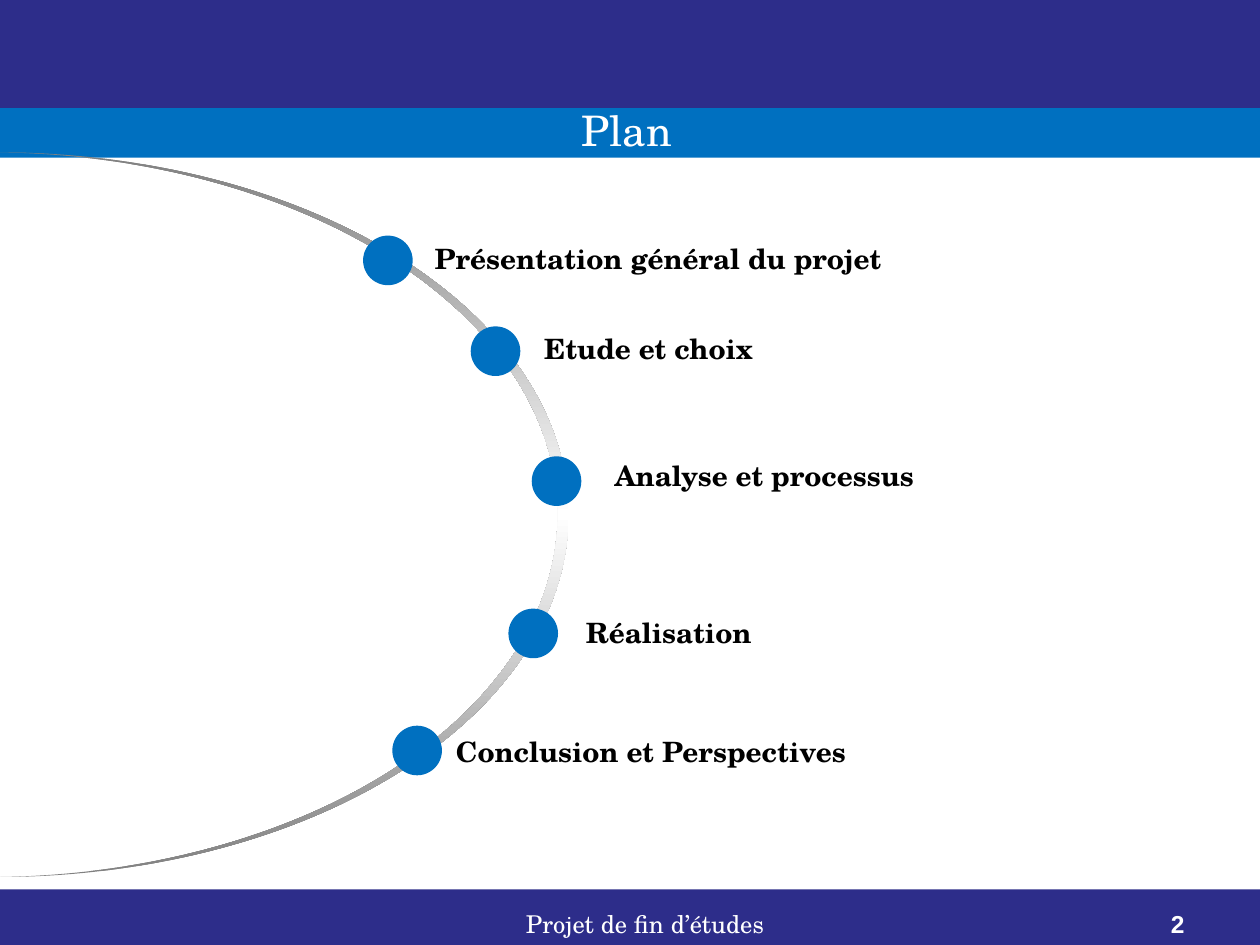
"""Build the plan slide: five topics along an arc."""
from copy import deepcopy
from dataclasses import dataclass

from pptx import Presentation
from pptx.dml.color import RGBColor
from pptx.enum.shapes import MSO_SHAPE
from pptx.enum.text import MSO_ANCHOR, PP_ALIGN
from pptx.shapes.autoshape import Shape
from pptx.slide import Slide
from pptx.util import Cm, Pt

RECT, OVAL, MOON = MSO_SHAPE.RECTANGLE, MSO_SHAPE.OVAL, MSO_SHAPE.MOON
LEFT, MID, RIGHT = PP_ALIGN.LEFT, PP_ALIGN.CENTER, PP_ALIGN.RIGHT
TOP = MSO_ANCHOR.TOP
NAVY = RGBColor(0x2D, 0x2D, 0x8A)
BLUE = RGBColor(0x00, 0x70, 0xC0)
GREY = RGBColor(0x80, 0x80, 0x80)
WHITE = RGBColor(0xFF, 0xFF, 0xFF)
BLACK = RGBColor(0x00, 0x00, 0x00)
SERIF, SANS = "TeX Gyre Schola", "Arial"
WIDE, HIGH = 25.4, 19.05
DOT = 1.0


@dataclass
class Box:
    left: float
    top: float
    width: float
    height: float

    def place(self) -> tuple[Cm, Cm, Cm, Cm]:
        return Cm(self.left), Cm(self.top), Cm(self.width), Cm(self.height)


@dataclass
class Style:
    size: int
    color: RGBColor = WHITE
    align: PP_ALIGN = MID
    bold: bool = False
    font: str = SERIF


@dataclass
class Topic:
    text: str
    box: Box
    dot_x: float
    dot_y: float


BANDS = [
    (Box(0, 0, WIDE, 2.31), NAVY),
    (Box(0, 17.93, WIDE, HIGH - 17.93), NAVY),
    (Box(0, 2.18, WIDE, 1.0), BLUE),
]
TOPICS = [
    Topic("Présentation général du projet", Box(8.51, 4.75, 15.29, 0.94), 7.32, 4.75),
    Topic("Etude et choix", Box(10.72, 6.55, 13.11, 0.94), 9.49, 6.58),
    Topic("Analyse et processus", Box(12.14, 9.12, 13.46, 0.94), 10.72, 9.2),
    Topic("Réalisation", Box(11.56, 12.29, 13.84, 0.94), 10.25, 12.27),
    Topic("Conclusion et Perspectives", Box(8.94, 14.68, 12.19, 0.94), 7.91, 14.63),
]
LABEL = Style(16, BLACK, LEFT, True)


def draw(slide: Slide, kind: MSO_SHAPE, box: Box) -> Shape:
    shape = slide.shapes.add_shape(kind, *box.place())
    shape.shadow.inherit = False
    shape.line.fill.background()
    return shape


def paint(slide: Slide, kind: MSO_SHAPE, box: Box, color: RGBColor) -> None:
    fill = draw(slide, kind, box).fill
    fill.solid()
    fill.fore_color.rgb = color


def write(shape: Shape, text: str, style: Style) -> None:
    frame = shape.text_frame
    frame.word_wrap = True
    frame.vertical_anchor = TOP
    frame.text = text
    para = frame.paragraphs[0]
    para.alignment = style.align
    font = para.font
    font.name, font.size, font.bold = style.font, Pt(style.size), style.bold
    font.color.rgb = style.color


def label(slide: Slide, text: str, box: Box, style: Style) -> None:
    write(slide.shapes.add_textbox(*box.place()), text, style)


def draw_arc(slide: Slide) -> None:
    arc = draw(slide, MOON, Box(-0.05, 3.07, 11.51, 14.61))
    arc.rotation = 180
    arc.adjustments[0] = 0.019
    arc.fill.gradient()
    arc.fill.gradient_angle = 90
    first = arc.fill.gradient_stops[0]._gs
    first.addnext(deepcopy(first))
    for stop, pos, color in zip(arc.fill.gradient_stops, (0, 0.5, 1), (GREY, WHITE, GREY)):
        stop.position = pos
        stop.color.rgb = color


def main() -> None:
    deck = Presentation()
    deck.slide_width, deck.slide_height = Cm(WIDE), Cm(HIGH)
    slide = deck.slides.add_slide(deck.slide_layouts[5])
    for box, color in BANDS:
        paint(slide, RECT, box, color)
    label(slide, "Projet de fin d’études", Box(9.5, 18.21, 7.01, 0.86), Style(14))
    draw_arc(slide)
    for topic in TOPICS:
        label(slide, topic.text, topic.box, LABEL)
        paint(slide, OVAL, Box(topic.dot_x, topic.dot_y, DOT, DOT), BLUE)
    title = slide.shapes.title
    title.left, title.top, title.width, title.height = Box(4.95, 1.98, 15.37, 1.0).place()
    write(title, "Plan", Style(24))
    slide.shapes._spTree.append(title._element)
    label(slide, "2", Box(18.21, 18.21, 5.92, 1.32), Style(14, WHITE, RIGHT, True, SANS))
    deck.save("out.pptx")


if __name__ == "__main__":
    main()
